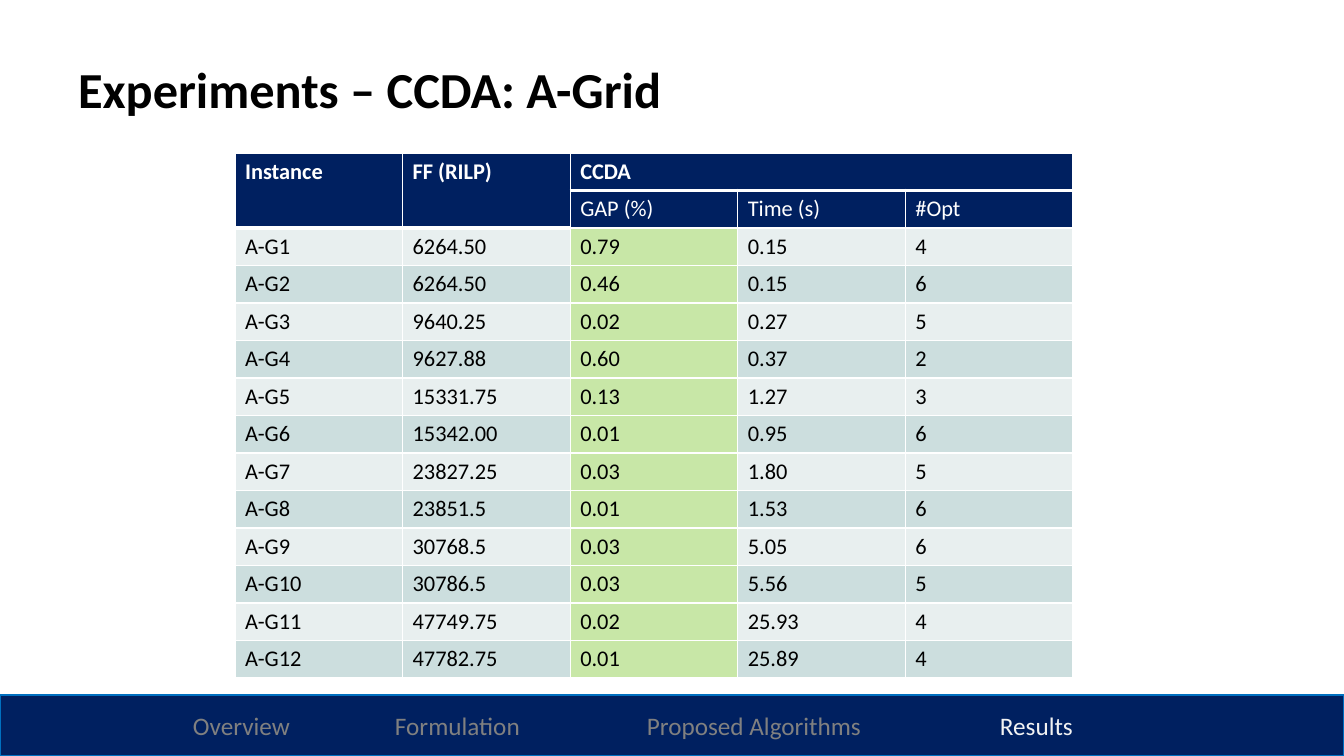
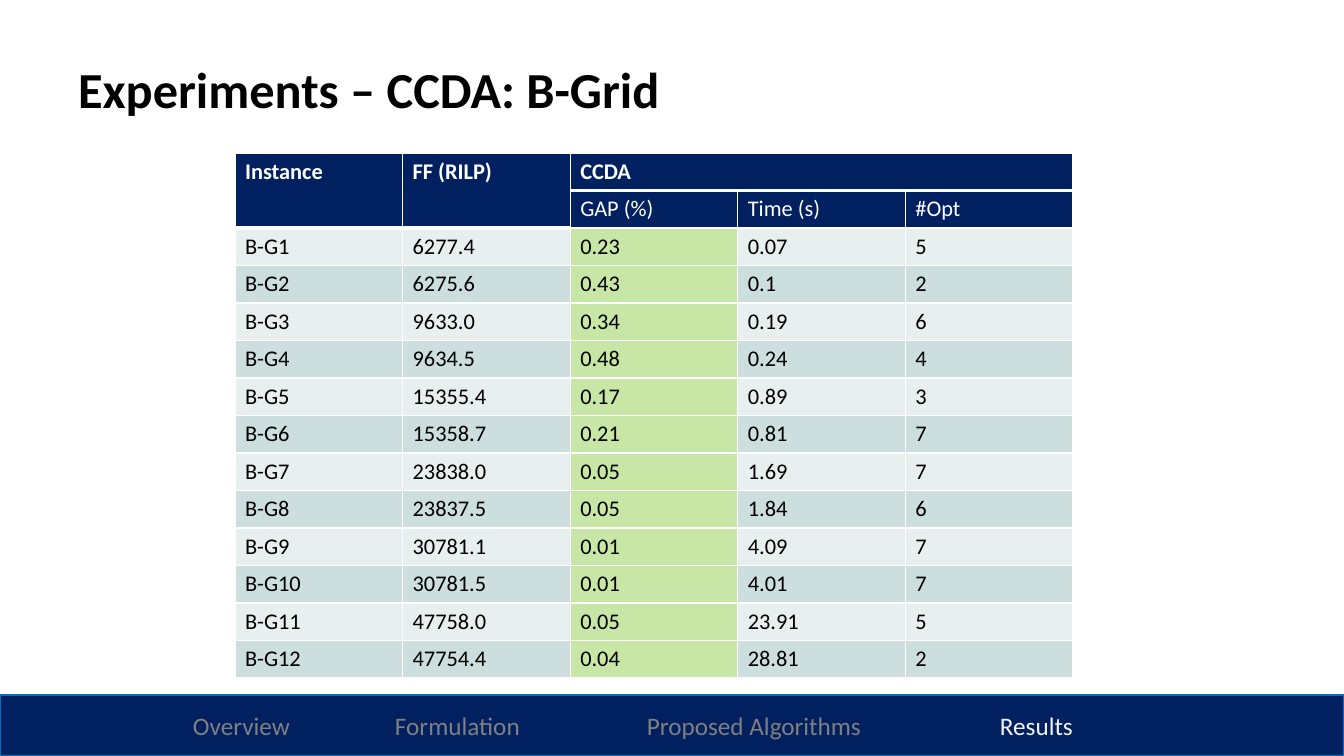
from lxml import etree
from pptx import Presentation
from pptx.dml.color import RGBColor
from pptx.enum.shapes import MSO_SHAPE
from pptx.enum.text import MSO_ANCHOR, MSO_AUTO_SIZE, PP_ALIGN
from pptx.oxml.ns import qn
from pptx.util import Emu, Pt

RECTANGLE = MSO_SHAPE.RECTANGLE
LEFT = PP_ALIGN.LEFT
TOP, MIDDLE = MSO_ANCHOR.TOP, MSO_ANCHOR.MIDDLE
NO_AUTOFIT = MSO_AUTO_SIZE.NONE

# Shared style
WIDTH, HEIGHT = 1344, 756
FONT = "Calibri"
NAVY, BLUE = "002060", "0070C0"
BLACK, WHITE = "000000", "FFFFFF"
GREY, NEAR_WHITE = "808080", "F2F2F2"
BANDS = ("E8EFEF", "CCDEDE")
GREEN = "92D050"
TITLE_ONLY = 5

# Footer sections and the left edge of each
SECTIONS = {"Overview": 193, "Formulation": 395, "Proposed Algorithms": 647, "Results": 1000}
CURRENT_SECTION = "Results"

# Table layout
HEADER = (("Instance", "FF (RILP)", "CCDA", "", ""),
          ("", "", "GAP (%)", "Time (s)", "#Opt"))
TALL_COLUMNS = 2
GAP_COLUMN = 2

# Solution value, gap, time and number of optima for each instance
RESULTS = {
    "A": (
        ("6264.50", "0.79", "0.15", "4"),
        ("6264.50", "0.46", "0.15", "6"),
        ("9640.25", "0.02", "0.27", "5"),
        ("9627.88", "0.60", "0.37", "2"),
        ("15331.75", "0.13", "1.27", "3"),
        ("15342.00", "0.01", "0.95", "6"),
        ("23827.25", "0.03", "1.80", "5"),
        ("23851.5", "0.01", "1.53", "6"),
        ("30768.5", "0.03", "5.05", "6"),
        ("30786.5", "0.03", "5.56", "5"),
        ("47749.75", "0.02", "25.93", "4"),
        ("47782.75", "0.01", "25.89", "4"),
    ),
    "B": (
        ("6277.4", "0.23", "0.07", "5"),
        ("6275.6", "0.43", "0.1", "2"),
        ("9633.0", "0.34", "0.19", "6"),
        ("9634.5", "0.48", "0.24", "4"),
        ("15355.4", "0.17", "0.89", "3"),
        ("15358.7", "0.21", "0.81", "7"),
        ("23838.0", "0.05", "1.69", "7"),
        ("23837.5", "0.05", "1.84", "6"),
        ("30781.1", "0.01", "4.09", "7"),
        ("30781.5", "0.01", "4.01", "7"),
        ("47758.0", "0.05", "23.91", "5"),
        ("47754.4", "0.04", "28.81", "2"),
    ),
}


def px(length):
    return Emu(round(length * 914400 / 100.8))


def color(value):
    return RGBColor.from_string(value)


def add_text(paragraph, text, size=16, fill=BLACK, bold=False):
    run = paragraph.add_run()
    run.text = text
    run.font.name = FONT
    run.font.size = Pt(size)
    run.font.bold = bold
    run.font.color.rgb = color(fill)


def paint(fill, value, opacity=100):
    fill.solid()
    fill.fore_color.rgb = color(value)
    if opacity < 100:
        for element in fill._xPr.iter(qn("a:srgbClr")):
            etree.SubElement(element, qn("a:alpha"), val=str(opacity * 1000))


def add_borders(cell, **widths):
    """Draw white cell borders; must run before the cell is filled."""
    properties = cell._tc.get_or_add_tcPr()
    for side in "LRTB":
        width = Pt(widths.get(side, 1))
        line = etree.SubElement(properties, qn("a:ln" + side), w=str(width))
        fill = etree.SubElement(line, qn("a:solidFill"))
        etree.SubElement(fill, qn("a:srgbClr"), val=WHITE)


def edge_below(row, column):
    """Width of the line under a cell: heavy under the bold headings."""
    heavy = row == 0 or (row == 1 and column < TALL_COLUMNS)
    return 3 if heavy else 1


class Deck:
    def __init__(self):
        self.presentation = Presentation()
        self.presentation.slide_width = px(WIDTH)
        self.presentation.slide_height = px(HEIGHT)
        self.slide = None

    def add_slide(self, title):
        layout = self.presentation.slide_layouts[TITLE_ONLY]
        self.slide = self.presentation.slides.add_slide(layout)
        self.add_title(title)

    def add_title(self, text):
        shape = self.slide.shapes.title
        shape.left, shape.top = px(68), px(60)
        shape.width, shape.height = px(1174), px(125)
        frame = shape.text_frame
        frame.auto_size = NO_AUTOFIT
        frame.vertical_anchor = TOP
        paragraph = frame.paragraphs[0]
        paragraph.alignment = LEFT
        paragraph.line_spacing = 0.9
        add_text(paragraph, text, size=36, bold=True)

    def add_results_table(self, rows):
        cells = HEADER + rows
        frame = self.slide.shapes.add_table(
            len(cells), len(HEADER[0]), px(235), px(153), px(838), px(525))
        table = frame.table
        table.first_row = table.horz_banding = False
        for row, values in enumerate(cells):
            for column, value in enumerate(values):
                self.format_cell(table.cell(row, column), row, column, value)
        # Merged headings
        for column in range(TALL_COLUMNS):
            table.cell(0, column).merge(table.cell(1, column))
        table.cell(0, TALL_COLUMNS).merge(table.cell(0, len(HEADER[0]) - 1))

    def format_cell(self, cell, row, column, value):
        top = edge_below(row - 1, column)
        add_borders(cell, T=top, B=edge_below(row, column))
        is_header = row < len(HEADER)
        if is_header:
            paint(cell.fill, NAVY)
        elif column == GAP_COLUMN:
            paint(cell.fill, GREEN, opacity=50)
        else:
            paint(cell.fill, BANDS[row % 2])
        if value:
            add_text(cell.text_frame.paragraphs[0], value,
                     fill=WHITE if is_header else BLACK, bold=row == 0)

    def add_footer(self):
        bar = self.slide.shapes.add_shape(
            RECTANGLE, px(0), px(695), px(WIDTH), px(HEIGHT - 695))
        bar.shadow.inherit = False
        paint(bar.fill, NAVY)
        bar.line.color.rgb = color(BLUE)
        bar.line.width = Pt(1)
        frame = bar.text_frame
        frame.word_wrap = True
        frame.vertical_anchor = MIDDLE
        start, *stops = SECTIONS.values()
        frame.margin_left = px(start)
        paragraph = frame.paragraphs[0]
        paragraph.alignment = LEFT
        tabs = etree.SubElement(paragraph._p.get_or_add_pPr(), qn("a:tabLst"))
        for stop in stops:
            etree.SubElement(tabs, qn("a:tab"), pos=str(px(stop - start)), algn="l")
        for index, section in enumerate(SECTIONS):
            add_text(paragraph, "\t" + section if index else section, size=18,
                     fill=NEAR_WHITE if section == CURRENT_SECTION else GREY)

    def save(self):
        self.presentation.save("out.pptx")


def main():
    deck = Deck()
    for grid, results in RESULTS.items():
        deck.add_slide(f"Experiments – CCDA: {grid}-Grid")
        deck.add_results_table(tuple(
            (f"{grid}-G{number}", *values)
            for number, values in enumerate(results, start=1)))
        deck.add_footer()
    deck.save()


if __name__ == "__main__":
    main()
